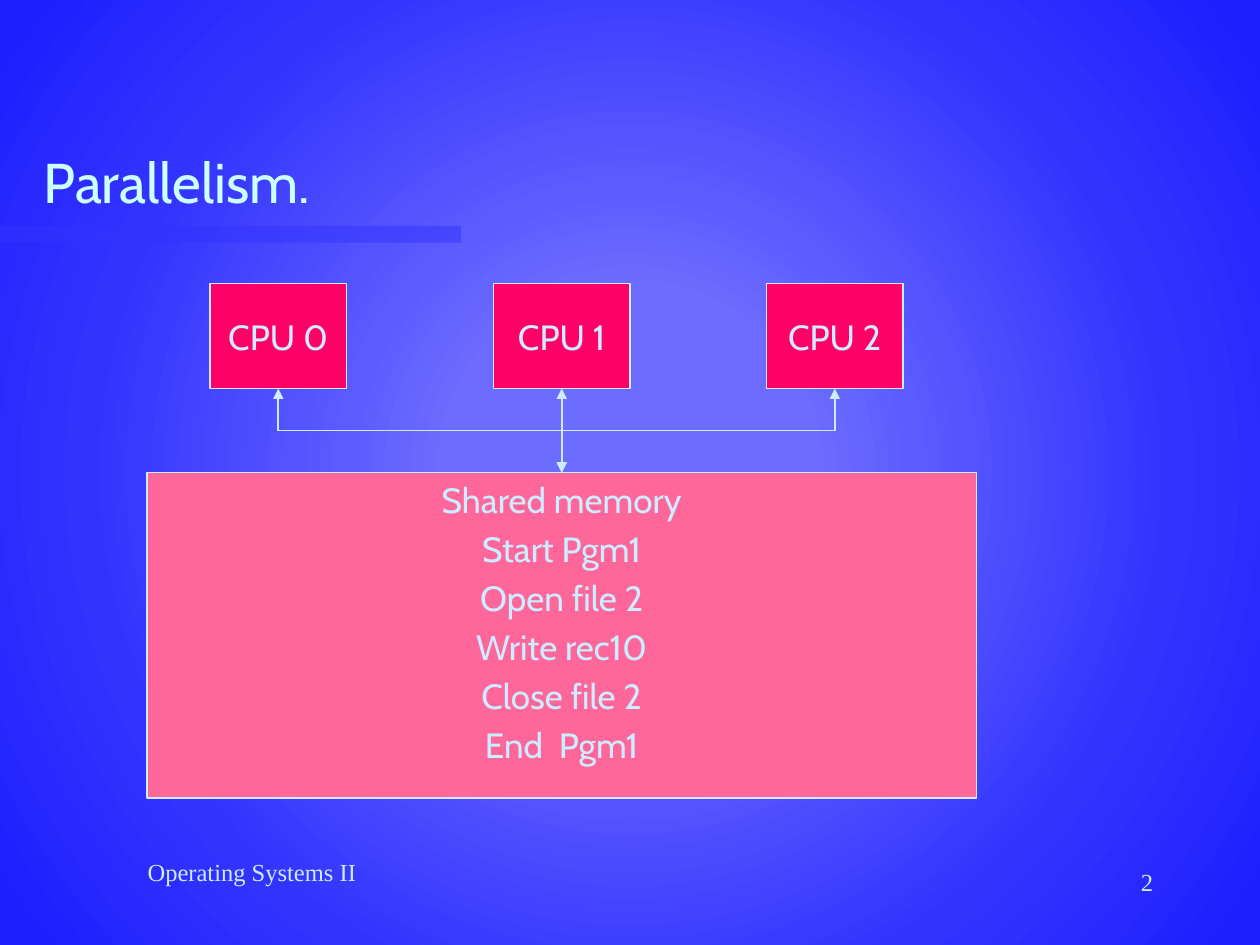
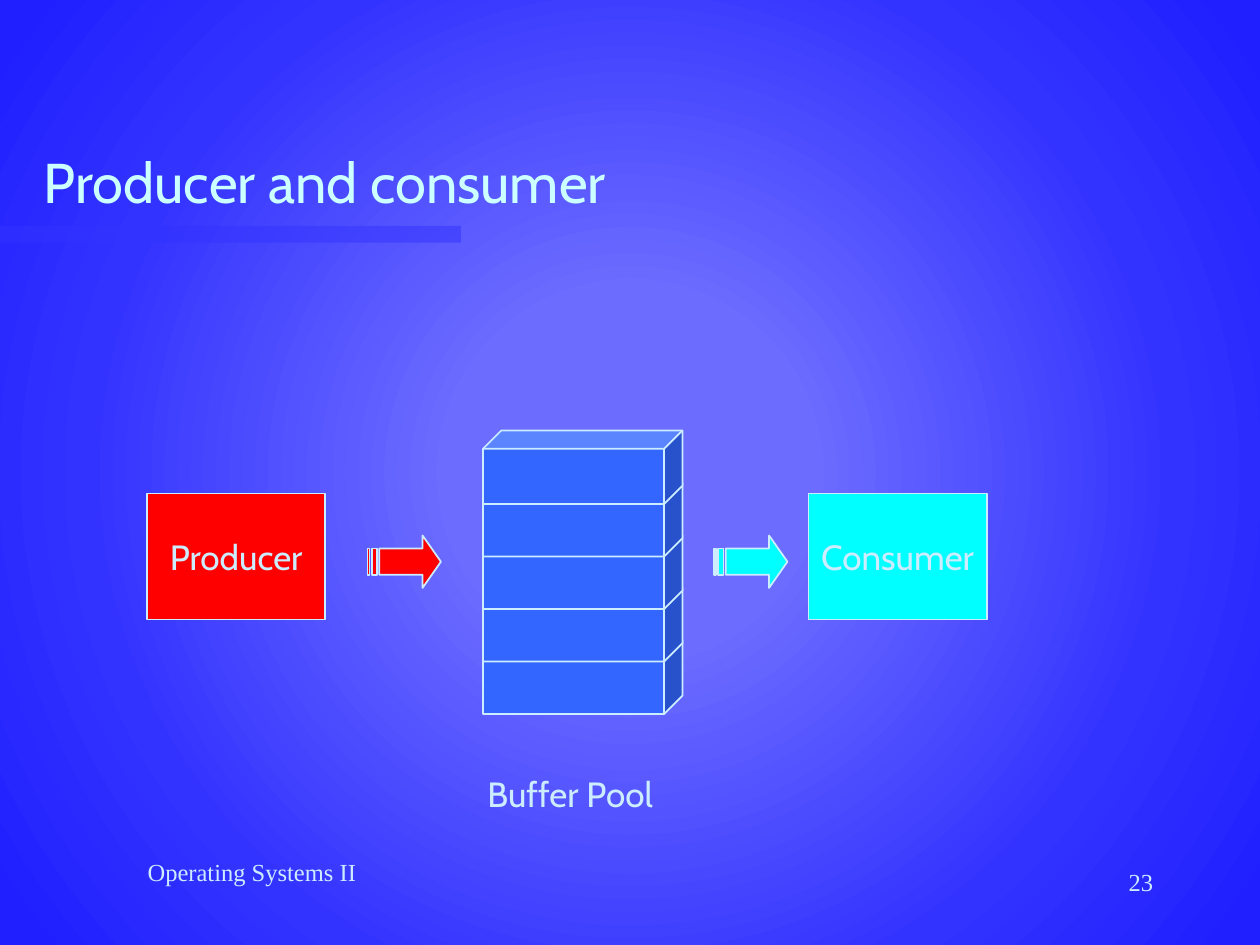
"""Build two slides on parallelism and on producers and consumers."""
from pptx import Presentation
from pptx import util as u
from pptx.dml.color import RGBColor
from pptx.enum import shapes, text
from pptx.oxml import parse_xml
from pptx.oxml.ns import nsdecls, qn

PALE = RGBColor(0xCC, 0xEC, 0xFF)
MINT = RGBColor(0xCC, 0xFF, 0xFF)
NAVY = RGBColor(0x33, 0x33, 0xFF)
ROSE = RGBColor(0xFF, 0x00, 0x66)
PINK = RGBColor(0xFF, 0x66, 0x99)
RED = RGBColor(0xFF, 0x00, 0x00)
CYAN = RGBColor(0x00, 0xFF, 0xFF)
BLUE = RGBColor(0x33, 0x66, 0xFF)
GLOW = [(0, "6C6CFF"), (23, "6C6CFF"), (69, "3333FF"), (97, "1F1FFF")]

COLS, ROWS = 120, 90
CELL = u.Inches(10) // COLS

LEFT, MID, RIGHT = text.PP_ALIGN.LEFT, text.PP_ALIGN.CENTER, text.PP_ALIGN.RIGHT
TOP, HALF, BASE = text.MSO_ANCHOR.TOP, text.MSO_ANCHOR.MIDDLE, text.MSO_ANCHOR.BOTTOM
HEAD = {"font": {"name": "Cabin", "size": u.Pt(32)}, "ink": MINT, "align": LEFT,
        "frame": {"vertical_anchor": BASE, "word_wrap": True}}
FOOT = {"font": {"name": "Times New Roman", "size": u.Pt(14)}, "ink": PALE, "align": MID,
        "frame": {"vertical_anchor": TOP, "word_wrap": True}}
PAGE = {**FOOT, "align": RIGHT}
TAG = {"font": {"name": "Cabin", "size": u.Pt(20)}, "ink": PALE, "align": MID,
       "frame": {"vertical_anchor": HALF, "word_wrap": False}}
LIST = {**TAG, "frame": FOOT["frame"]}

COURSE = "Operating Systems II"
BAND = (0, 21.5, 43.9, 1.6)

CPUS = [("CPU 0", 20), ("CPU 1", 47), ("CPU 2", 73)]
CPU_TOP, CPU_W, CPU_H = 27, 13, 10
MEMORY = ["Shared memory", "Start Pgm1", "Open file 2", "Write rec10",
          "Close file 2", "End  Pgm1"]
STORE = (14, 45, 79, 31)

ACTORS = [("Producer", 14, 35, RED), ("Consumer", 77, 68, CYAN)]
ARROW = [
    [(.75, 0), (.75, .25), (.16, .25), (.16, .75), (.75, .75), (.75, 1), (1, .5)],
    [(.06, .25), (.06, .75), (.13, .75), (.13, .25)],
    [(0, .25), (0, .75), (.03, .75), (.03, .25)],
]
POOL = {"left": 46, "top": 41, "wide": 19, "high": 7, "step": 5, "count": 5}


def grid(*spans):
    return [round(span * CELL) for span in spans]


def fit(item, values):
    for name, value in values.items():
        setattr(item, name, value)


def write(shape, lines, style):
    frame = shape.text_frame
    frame.text = "\n".join(lines)
    fit(frame, style["frame"])
    for row, para in enumerate(frame.paragraphs):
        para.alignment = style["align"]
        if row:
            para.space_before = u.Pt(4)
        fit(para.runs[0].font, style["font"])
        para.runs[0].font.color.rgb = style["ink"]


def label(slide, words, area, style):
    write(slide.shapes.add_textbox(*grid(*area)), [words], style)


def paint(shape, fill):
    shape.shadow.inherit = False
    shape.fill.solid()
    shape.fill.fore_color.rgb = fill
    shape.line.color.rgb = PALE
    shape.line.width = u.Pt(1)
    return shape


def block(slide, area, fill, kind=shapes.MSO_SHAPE.RECTANGLE):
    return paint(slide.shapes.add_shape(kind, *grid(*area)), fill)


def link(slide, x1, y1, x2, y2):
    """Join two points with a two-headed line that leaves vertically."""
    side = (x2 > x1) - (x2 < x1)
    kind = shapes.MSO_CONNECTOR.STRAIGHT
    ends = (x1, y1, x2, y2)
    if side:
        kind = shapes.MSO_CONNECTOR.ELBOW
        mid_x, mid_y = (x1 + x2) / 2, (y1 + y2) / 2
        reach, drop = abs(x2 - x1) / 2, side * (y2 - y1) / 2
        ends = (mid_x + drop, mid_y - reach, mid_x - drop, mid_y + reach)
    line = slide.shapes.add_connector(kind, *grid(*ends))
    line.line.color.rgb = PALE
    line.line.width = u.Pt(1)
    props = line.element.spPr
    if side:
        props.find(qn("a:xfrm")).set("rot", str((180 + 90 * side) * 60000))
    for end in ("headEnd", "tailEnd"):
        props.find(qn("a:ln")).append(
            parse_xml(f'<a:{end} {nsdecls("a")} type="triangle"/>'))
    props.append(parse_xml(f'<a:effectLst {nsdecls("a")}/>'))


def arrow(slide, left, top, wide, high, fill):
    loops = [[grid(left + x * wide, top + y * high) for x, y in loop] for loop in ARROW]
    pen = slide.shapes.build_freeform(*loops[0][0])
    for order, loop in enumerate(loops):
        if order:
            pen.move_to(*loop[0])
        pen.add_line_segments(loop[1:], close=True)
    paint(pen.convert_to_shape(), fill)


def backdrop(master):
    master.background.fill.solid()
    props = master.element.cSld.find(f'{qn("p:bg")}/{qn("p:bgPr")}')
    stops = "".join(f'<a:gs pos="{pos * 1000}"><a:srgbClr val="{tint}"/></a:gs>'
                    for pos, tint in GLOW)
    props.replace(props[0], parse_xml(
        f'<a:gradFill {nsdecls("a")} rotWithShape="1"><a:gsLst>{stops}</a:gsLst>'
        '<a:path path="circle"><a:fillToRect l="50000" t="50000" r="50000" b="50000"/>'
        '</a:path></a:gradFill>'))


def start(deck, title, page):
    slide = deck.slides.add_slide(deck.slide_layouts[6])
    band = block(slide, BAND, NAVY)
    band.line.fill.background()
    tint = band.element.spPr.find(f'{qn("a:solidFill")}/{qn("a:srgbClr")}')
    tint.append(parse_xml(f'<a:alpha {nsdecls("a")} val="50000"/>'))
    label(slide, COURSE, (5, 81, 38, 6), FOOT)
    label(slide, page, (86, 82, 25, 6), PAGE)
    label(slide, title, (3, 6, 102, 15), HEAD)
    return slide


def memory(deck):
    slide = start(deck, "Parallelism.", "2")
    for name, left in CPUS:
        write(block(slide, (left, CPU_TOP, CPU_W, CPU_H), ROSE), [name], TAG)
    write(block(slide, STORE, PINK), MEMORY, LIST)
    for _, left in CPUS:
        link(slide, left + CPU_W / 2, CPU_TOP + CPU_H, STORE[0] + STORE[2] / 2, STORE[1])


def buffer(deck):
    slide = start(deck, "Producer and consumer", "23")
    for name, left, tail, fill in ACTORS:
        write(block(slide, (left, 47, 17, 12), fill), [name], TAG)
        arrow(slide, tail, 51, 7, 5, fill)
    for level in reversed(range(POOL["count"])):
        area = (POOL["left"], POOL["top"] + level * POOL["step"], POOL["wide"], POOL["high"])
        block(slide, area, BLUE, shapes.MSO_SHAPE.CUBE).adjustments[0] = .25
    label(slide, "Buffer Pool", (45, 73, 18.6, 5.2), TAG)


def main():
    deck = Presentation()
    fit(deck, {"slide_width": COLS * CELL, "slide_height": ROWS * CELL})
    backdrop(deck.slide_master)
    memory(deck)
    buffer(deck)
    deck.save("out.pptx")


if __name__ == "__main__":
    main()
